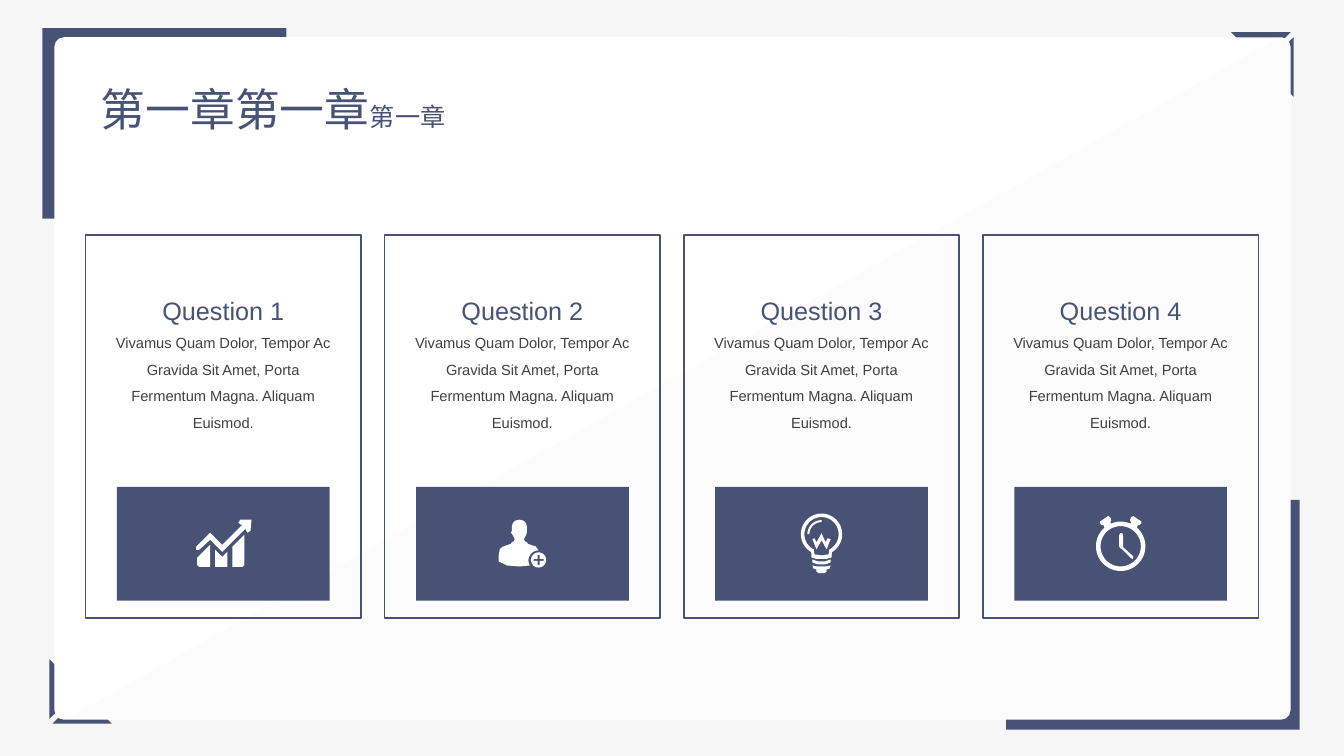
import math
from collections import namedtuple
from lxml import etree
from pptx import Presentation
from pptx import util as u
from pptx.dml.color import RGBColor
from pptx.enum import shapes, text
from pptx.oxml.ns import qn

CELL = u.Inches(0.01)
COLUMNS, ROWS = 1333, 750
NAVY, WHITE, GREY = "485275", "FFFFFF", "404040"
LATIN, CJK = "Arial", "Noto Sans CJK SC"
BODY = "Vivamus Quam Dolor, Tempor Ac Gravida Sit Amet, Porta Fermentum Magna. Aliquam Euismod."

Box = namedtuple("Box", "left top width height")


def color(value):
    return RGBColor.from_string(value)


def emu(cells):
    return u.Emu(round(cells * CELL))


def inner(box, left, top, width, height):
    return Box(box.left + left, box.top + top, width, height)


def paint(shape, fill=None, line=None):
    shape.shadow.inherit = False
    if fill:
        shape.fill.solid()
        shape.fill.fore_color.rgb = color(fill)
    else:
        shape.fill.background()
    if line:
        shape.line.color.rgb = color(line)
        shape.line.width = u.Pt(1)
    else:
        shape.line.fill.background()
    return shape


def block(slide, box, fill=None, line=None, kind=shapes.MSO_SHAPE.RECTANGLE):
    return paint(slide.shapes.add_shape(kind, *map(emu, box)), fill, line)


def outline(slide, contours, fill, origin=(0, 0)):
    placed = [[(emu(origin[0] + x), emu(origin[1] + y)) for x, y in contour]
              for contour in contours]
    builder = slide.shapes.build_freeform(*placed[0][0], scale=1.0)
    for index, contour in enumerate(placed):
        if index:
            builder.move_to(*contour[0])
        builder.add_line_segments(contour[1:], close=True)
    return paint(builder.convert_to_shape(), fill)


def arc(x, y, radius, start=0, end=360):
    steps = max(4, abs(end - start) // 6)
    angles = [math.radians(start + (end - start) * step / steps) for step in range(steps + 1)]
    return [(x + radius * math.cos(a), y + radius * math.sin(a)) for a in angles]


def mirrored(points):
    return [(-x, y) for x, y in points]


def symmetric(left_points):
    return left_points + mirrored(left_points[::-1])


def chart_icon():
    return [
        [(-26, 14), (-13, 1), (-13, 23), (-24, 23), (-26, 21)],
        [(-8, 6), (-1, 13), (4, 8), (4, 23), (-8, 23)],
        [(9, 3), (21, -9), (21, 21), (19, 23), (9, 23)],
        [(17, -24), (15, -21), (17, -19), (19, -19), (-1, 1), (-13, -11), (-27, 3), (-27, 6),
         (-24, 6), (-13, -4), (-1, 8), (23, -16), (22, -14), (24, -11), (27, -13), (28, -24)],
    ]


def person_icon():
    person = [(13, 2.5), (9.5, 1.5), (5.5, 0), (4.5, -1.5), (2.5, -2.5), (1.5, -4.5),
              (3.5, -8.5), (4.5, -11.5), (4.5, -17), (3.5, -20.5), (1, -23), (-3, -24),
              (-7, -23), (-9.5, -20.5), (-10.5, -17), (-10.5, -12.5), (-11.5, -11.5),
              (-9.5, -8.5), (-7.5, -4.5), (-8.5, -2.5), (-10.5, -1.5), (-11.5, 0),
              (-15.5, 1.5), (-20, 3), (-22.5, 5.5), (-23.5, 11), (-23.5, 17.5),
              (-15, 21.5), (-2.5, 22.5), (6.5, 21.5)]
    plus = [(-1, -5), (1, -5), (1, -1), (5, -1), (5, 1), (1, 1),
            (1, 5), (-1, 5), (-1, 1), (-5, 1), (-5, -1), (-1, -1)]
    return [person + arc(16, 16.5, 10, 150, 270), arc(16, 16, 7.5),
            [(16 + x, 16 + y) for x, y in plus]]


def bulb_icon():
    y = -9.5
    return [
        arc(0, y, 20.5, 120, 420) + [(10, 13.5), (5, 15), (-5, 15), (-10, 13.5)],
        arc(0, y, 17, 117, 423) + [(7, 10.5), (0, 11.5), (-7, 10.5)],
        symmetric([(-9, 18.5), (-9, 15.5), (-3.5, 17.5)]) + [(3.5, 20.5), (-3.5, 20.5)],
        symmetric([(-4, 22.5), (-9, 21.5), (-8, 24.5), (-5, 25.5), (-5, 27.5), (-3, 29)]),
        arc(0, y, 14, 180, 270) + arc(0, y, 12, 270, 180),
        [(4, -1.5), (0, -10.5), (-5, -1.5), (-7, -5.5), (-9, -4.5),
         (-5, 5.5), (0, -3.5), (5, 5.5), (9, -4.5), (6, -5.5)],
    ]


def clock_icon():
    bell = [(17, -18.5), (19, -18.5), (20.5, -20.5), (20.5, -22), (12.5, -27.5),
            (10.5, -26.5), (9.5, -24), (9.5, -22.5), (10.5, -21.5)]
    rim = (arc(0, 2.5, 24.5, -49, 229) + mirrored(bell)
           + arc(0, 2.5, 24.5, 247, 293) + bell[::-1])
    hands = [(2.5, 3.5), (2.5, -8.5), (1.5, -10.5), (-0.5, -10.5), (-1.5, -8.5), (-1.5, 2.5),
             (-0.5, 4.5), (0.5, 4.5), (10.5, 14.5), (12, 15), (12.5, 12.5)]
    return [rim, arc(0, 2.5, 20), hands]


def add_run(paragraph, words, size, fill):
    run = paragraph.add_run()
    run.text = words
    run.font.size = u.Pt(size)
    run.font.name = LATIN
    run.font.color.rgb = color(fill)
    etree.SubElement(run.font._element, qn("a:ea")).set("typeface", CJK)


def text_frame(slide, box, wrap):
    frame = slide.shapes.add_textbox(*map(emu, box)).text_frame
    frame.word_wrap = wrap
    frame.auto_size = text.MSO_AUTO_SIZE.SHAPE_TO_FIT_TEXT
    return frame


def draw_backdrop(slide, box):
    slide.background.fill.solid()
    slide.background.fill.fore_color.rgb = color("F6F6F6")
    block(slide, inner(box, 42, 28, 242, 189), NAVY)
    block(slide, inner(box, 998, 496, 291, 228), NAVY)
    corner = [[(1236, 47), (1265, 47), (1280, 32), (1221, 32)],
              [(1283, 96), (1283, 37), (1268, 51), (1268, 81)]]
    opposite = [[(box.width - 1 - x, box.height - y) for x, y in part] for part in corner]
    for parts in (corner, opposite):
        outline(slide, parts, NAVY, (box.left, box.top))

    panel = inner(box, 54, 37, 1226, 677)
    sheet = block(slide, panel, WHITE, kind=shapes.MSO_SHAPE.ROUNDED_RECTANGLE)
    sheet.adjustments[0] = 0.014
    right, bottom, radius = panel.width, panel.height, 9
    sheen = ([(12, bottom - 1), (right - 11, 0)]
             + arc(right - radius, radius, radius, -90, 0)
             + arc(right - radius, bottom - 1 - radius, radius, 0, 90))
    shade = outline(slide, [sheen], "F2F2F2", (panel.left, panel.top))
    tint = shade.fill._xPr.find(qn("a:solidFill"))[0]
    etree.SubElement(tint, qn("a:alpha")).set("val", "16000")


def draw_title(slide, box):
    paragraph = text_frame(slide, box, False).paragraphs[0]
    add_run(paragraph, "第一章第一章", 32, NAVY)
    add_run(paragraph, "第一章", 18, NAVY)


def draw_card(slide, box, heading, icon):
    block(slide, box, line=NAVY)
    panel = inner(box, 31, 250, 211, 113)
    block(slide, panel, NAVY)
    frame = text_frame(slide, inner(box, 20, 40, 233, 162), True)
    lines = ((heading, 18, NAVY), (BODY, 10.5, GREY))
    for index, (words, size, fill) in enumerate(lines):
        paragraph = frame.add_paragraph() if index else frame.paragraphs[0]
        paragraph.alignment = text.PP_ALIGN.CENTER
        paragraph.line_spacing = 1.5
        add_run(paragraph, words, size, fill)
    center = (panel.left + panel.width / 2, panel.top + panel.height / 2)
    outline(slide, icon, WHITE, center)


def main():
    presentation = Presentation()
    presentation.slide_width = emu(COLUMNS)
    presentation.slide_height = emu(ROWS)
    slide = presentation.slides.add_slide(presentation.slide_layouts[6])
    draw_backdrop(slide, Box(0, 0, COLUMNS, ROWS))
    draw_title(slide, Box(90, 76, 575, 64))
    icons = (chart_icon(), person_icon(), bulb_icon(), clock_icon())
    pitch = 890 / 3
    for index, icon in enumerate(icons):
        card = Box(85 + index * pitch, 233, 273, 380)
        draw_card(slide, card, f"Question {index + 1}", icon)
    presentation.save("out.pptx")


if __name__ == "__main__":
    main()
